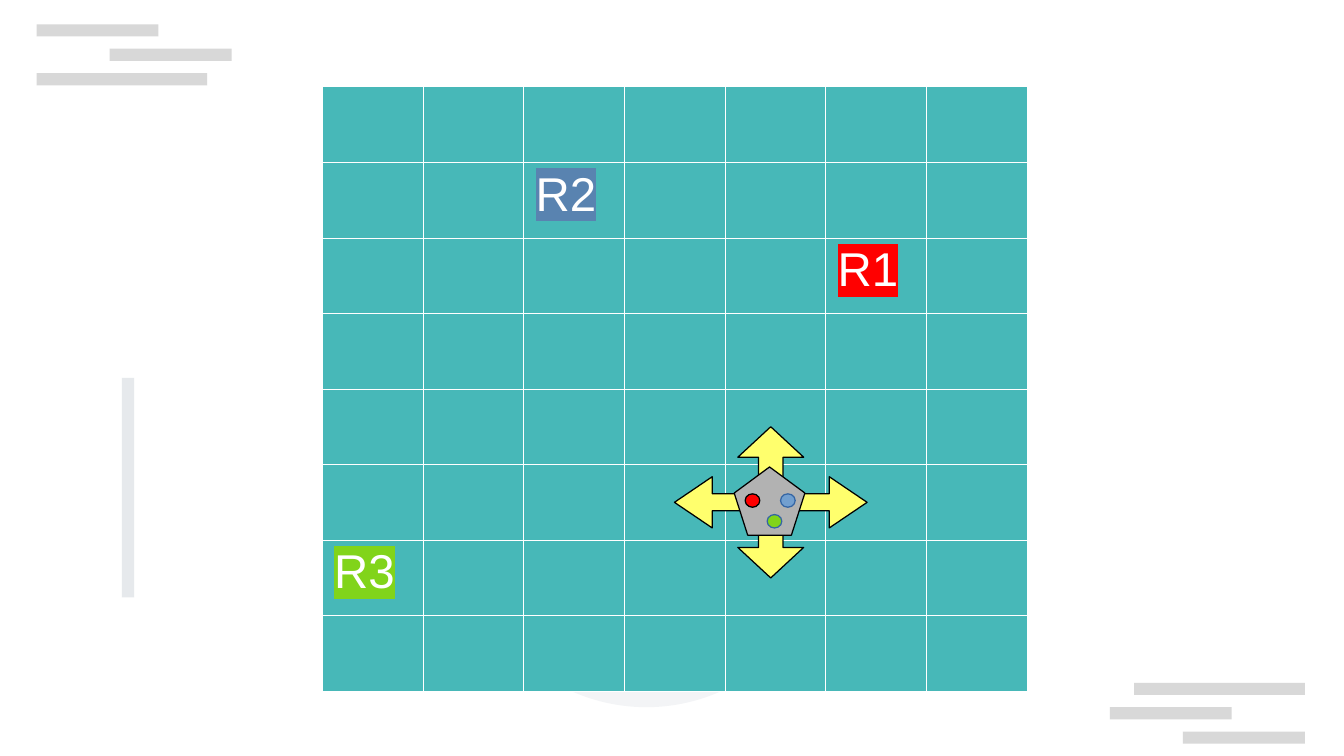
from lxml import etree
from pptx import Presentation, util as u
from pptx.dml.color import RGBColor
from pptx.enum import shapes
from pptx.oxml import ns

WIDE, HIGH = 11.02, 6.2
HUE = dict(bar="CCCCCC", disc="8D99AE", post="CED4DA", cell="47B8B8",
           white="FFFFFF", black="000000", arrow="FFFF6D", body="B2B2B2",
           red="FF0000", green="81D41A", sky="729FCF", steel="5983B0",
           edge="3465A4")
KIND = shapes.MSO_SHAPE
BARS = [(9.3, 5.6, 1.4), (9.1, 5.8, 1), (9.7, 6, 1),
        (0.3, 0.6, 1.4), (0.9, 0.4, 1), (0.3, 0.2, 1)]
THICK = 0.1
ROWS, COLS = 8, 7
GRID = (2.64, 0.71, 5.78, 4.96)
TAGS = {(1, 2): ("R2", "steel"), (2, 5): ("R1", "red"), (6, 0): ("R3", "green")}
MID = (6.32, 4.12)
ARM = [(-0.79, 0), (-0.48, -0.21), (-0.48, -0.07), (-0.1, -0.07),
       (-0.1, -0.37), (-0.27, -0.37), (0, -0.62)]
LAMPS = [(6.11, 4.05, "red", "black"), (6.29, 4.22, "green", "edge"),
         (6.4, 4.05, "sky", "edge")]


def rgb(name):
    return RGBColor.from_string(HUE[name])


def add(node, tag, **attrs):
    return etree.SubElement(node, ns.qn(tag), **attrs)


def paint(shape, fill, line=None, alpha=100):
    shape.shadow.inherit = False
    shape.fill.solid()
    shape.fill.fore_color.rgb = rgb(fill)
    if alpha < 100:
        tint = shape.fill._xPr.find(".//" + ns.qn("a:srgbClr"))
        add(tint, "a:alpha", val=str(alpha * 1000))
    if line:
        shape.line.color.rgb = rgb(line)
        shape.line.width = u.Pt(0)
    else:
        shape.line.fill.background()


def place(slide, kind, box, *style):
    shape = slide.shapes.add_shape(kind, *map(u.Inches, box))
    paint(shape, *style)


def edge(cell):
    props = cell._tc.get_or_add_tcPr()
    for side in ("L", "R", "T", "B"):
        line = add(props, "a:ln" + side, w="762")
        add(add(line, "a:solidFill"), "a:srgbClr", val=HUE["white"])


def label(cell, words, back):
    run = cell.text_frame.paragraphs[0].add_run()
    run.text = words
    run.font.size = u.Pt(28)
    run.font.color.rgb = rgb("white")
    mark = add(run.font._element, "a:highlight")
    add(mark, "a:srgbClr", val=HUE[back])
    run.font.name = "Arial"


def board(slide):
    frame = slide.shapes.add_table(ROWS, COLS, *map(u.Inches, GRID))
    table = frame.table
    table.first_row = table.horz_banding = False
    for col in table.columns:
        col.width = u.Inches(GRID[2] / COLS)
    for row in table.rows:
        row.height = u.Inches(GRID[3] / ROWS)
    for r in range(ROWS):
        for c in range(COLS):
            cell = table.cell(r, c)
            edge(cell)
            cell.fill.solid()
            cell.fill.fore_color.rgb = rgb("cell")
            if (r, c) in TAGS:
                label(cell, *TAGS[r, c])


def robot(slide):
    top = ARM + [(-x, y) for x, y in reversed(ARM[:-1])]
    ring = top + [(x, -y) for x, y in reversed(top[1:-1])]
    dots = [(u.Inches(MID[0] + x), u.Inches(MID[1] + y)) for x, y in ring]
    pen = slide.shapes.build_freeform(*dots[0])
    pen.add_line_segments(dots[1:], close=True)
    paint(pen.convert_to_shape(), "arrow", "black")
    place(slide, KIND.REGULAR_PENTAGON, (6.02, 3.83, 0.58, 0.56), "body", "black")
    for x, y, fill, line in LAMPS:
        place(slide, KIND.OVAL, (x, y, 0.12, 0.11), fill, line)


def main():
    deck = Presentation()
    deck.slide_width, deck.slide_height = u.Inches(WIDE), u.Inches(HIGH)
    slide = deck.slides.add_slide(deck.slide_layouts[6])
    for x, y, wide in BARS:
        place(slide, KIND.RECTANGLE, (x, y, wide, THICK), "bar", None, 75)
    place(slide, KIND.OVAL, (3.8, 2.8, 3, 3), "disc", None, 10)
    place(slide, KIND.RECTANGLE, (1, 3.1, THICK, 1.8), "post", None, 50)
    board(slide)
    robot(slide)
    deck.save("out.pptx")


if __name__ == "__main__":
    main()
